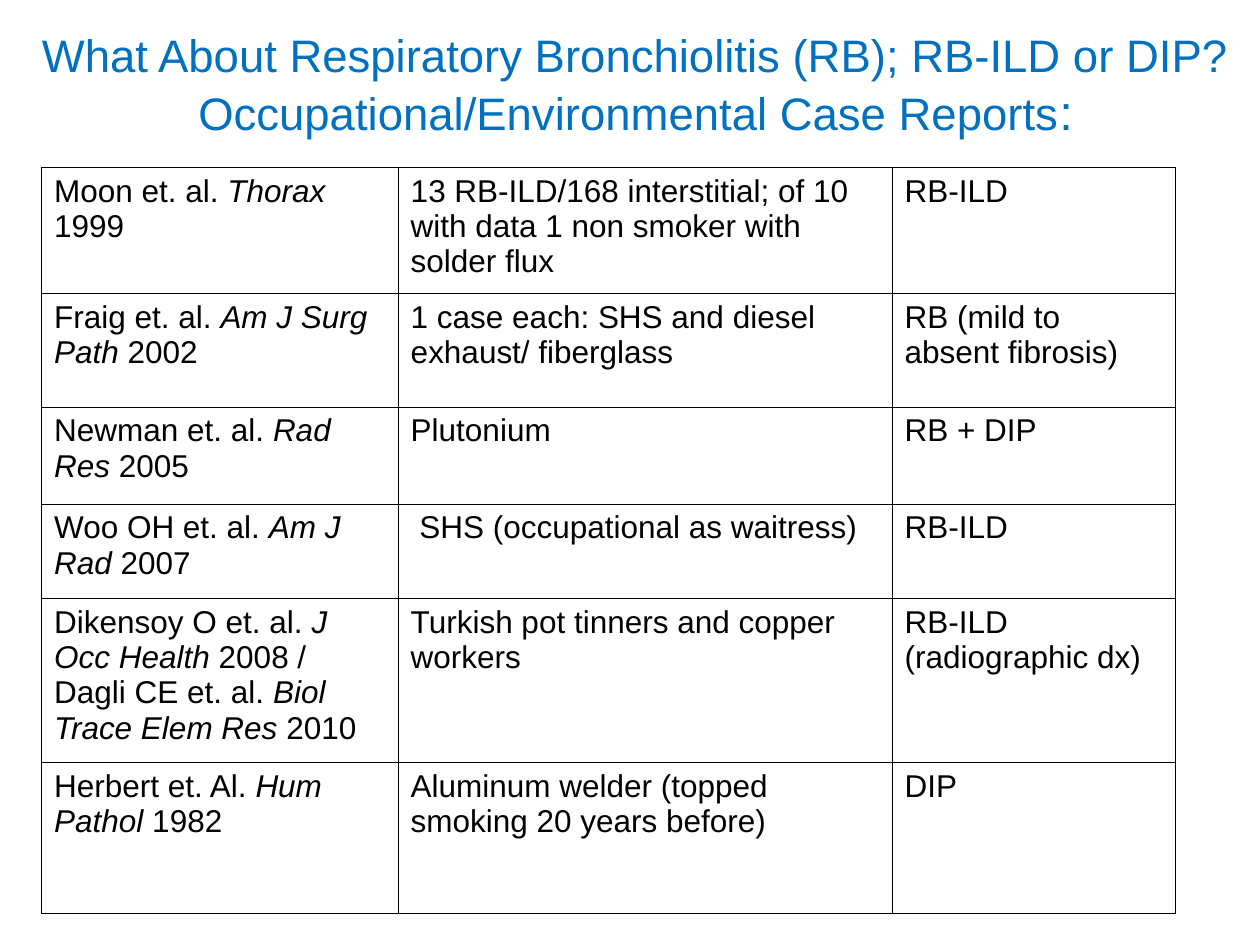
from lxml import etree
from pptx import Presentation
from pptx.dml.color import RGBColor
from pptx.enum.text import MSO_ANCHOR, PP_ALIGN
from pptx.oxml.ns import qn
from pptx.util import Inches, Pt

CENTER = PP_ALIGN.CENTER
MIDDLE = MSO_ANCHOR.MIDDLE
FONT = "Arial"
COLORS = {"title": "0070C0", "text": "000000", "border": "000000"}
THIN, THICK = 0.45, 1.08
COL_WIDTHS = [2.83, 3.92, 2.25]
ROW_HEIGHTS = [1, 0.9, 0.77, 0.75, 1.3, 1.2]
TITLE_LINES = [
    [("What About Respiratory Bronchiolitis (RB); RB-ILD or DIP?", 26)],
    [("Occupational/Environmental Case Reports", 26), (":", 28)],
]
REPORTS = [
    (["Moon et. al. ", "Thorax", " 1999"],
     "13 RB-ILD/168 interstitial; of 10 with data 1 non smoker with solder flux",
     "RB-ILD"),
    (["Fraig et. al. ", "Am J Surg Path", " 2002"],
     "1 case each: SHS and diesel exhaust/ fiberglass",
     "RB (mild to absent fibrosis)"),
    (["Newman et. al. ", "Rad Res", " 2005"], "Plutonium", "RB + DIP"),
    (["Woo OH et. al. ", "Am J Rad", " 2007"],
     " SHS (occupational as waitress)", "RB-ILD"),
    (["Dikensoy O et. al. ", "J Occ Health", " 2008 / Dagli CE et. al. ",
      "Biol Trace Elem Res", " 2010"],
     "Turkish pot tinners and copper workers", "RB-ILD (radiographic dx)"),
    (["Herbert et. Al. ", "Hum Pathol", " 1982"],
     "Aluminum welder (topped smoking 20 years before)", "DIP"),
]


def add_run(p, text, size, color, italic=False):
    """Append one formatted run to a paragraph."""
    r = p.add_run()
    r.text = text
    r.font.name = FONT
    r.font.size = Pt(size)
    r.font.italic = italic
    r.font.color.rgb = RGBColor.from_string(COLORS[color])


def set_borders(cell, widths):
    """Draw the cell borders from a dict of side to width in points."""
    tcPr = cell._tc.get_or_add_tcPr()
    for i, (side, width) in enumerate(widths.items()):
        ln = etree.Element(qn(f"a:ln{side}"), w=str(int(Pt(width))))
        fill = etree.SubElement(ln, qn("a:solidFill"))
        etree.SubElement(fill, qn("a:srgbClr"), val=COLORS["border"])
        tcPr.insert(i, ln)


def add_title(slide, left, top, width, height):
    """Place the centred two-line title in the given box."""
    box = slide.shapes.add_textbox(
        Inches(left), Inches(top), Inches(width), Inches(height))
    tf = box.text_frame
    tf.word_wrap = True
    tf.vertical_anchor = MIDDLE
    p = tf.paragraphs[0]
    p.alignment = CENTER
    for i, line in enumerate(TITLE_LINES):
        if i:
            p.add_line_break()
        for text, size in line:
            add_run(p, text, size, "title")


def add_report_table(slide, left, top, width, height):
    """Place the case report table, scaled to the given box."""
    rows, cols = len(ROW_HEIGHTS), len(COL_WIDTHS)
    table = slide.shapes.add_table(
        rows, cols, Inches(left), Inches(top), Inches(width), Inches(height)).table
    table.first_row = table.horz_banding = False
    for col, w in zip(table.columns, COL_WIDTHS):
        col.width = Inches(width * w / sum(COL_WIDTHS))
    for row, h in zip(table.rows, ROW_HEIGHTS):
        row.height = Inches(height * h / sum(ROW_HEIGHTS))
    for i, (citation, exposure, finding) in enumerate(REPORTS):
        for j, parts in enumerate([citation, [exposure], [finding]]):
            cell = table.cell(i, j)
            cell.fill.background()
            p = cell.text_frame.paragraphs[0]
            for k, text in enumerate(parts):
                add_run(p, text, 18, "text", italic=k % 2 == 1)
            set_borders(cell, {
                "L": THICK if j == 0 else THIN,
                "R": THICK if j == cols - 1 else THIN,
                "T": THICK if i == 0 else THIN,
                "B": THICK if i == rows - 1 else THIN,
            })


def main():
    """Build and save the slide."""
    prs = Presentation()
    prs.slide_width, prs.slide_height = Inches(10), Inches(7.5)
    slide = prs.slides.add_slide(prs.slide_layouts[6])
    add_title(slide, 0.17, 0.08, 9.75, 1.17)
    add_report_table(slide, 0.33, 1.33, 9, 5.92)
    prs.save("out.pptx")


if __name__ == "__main__":
    main()
